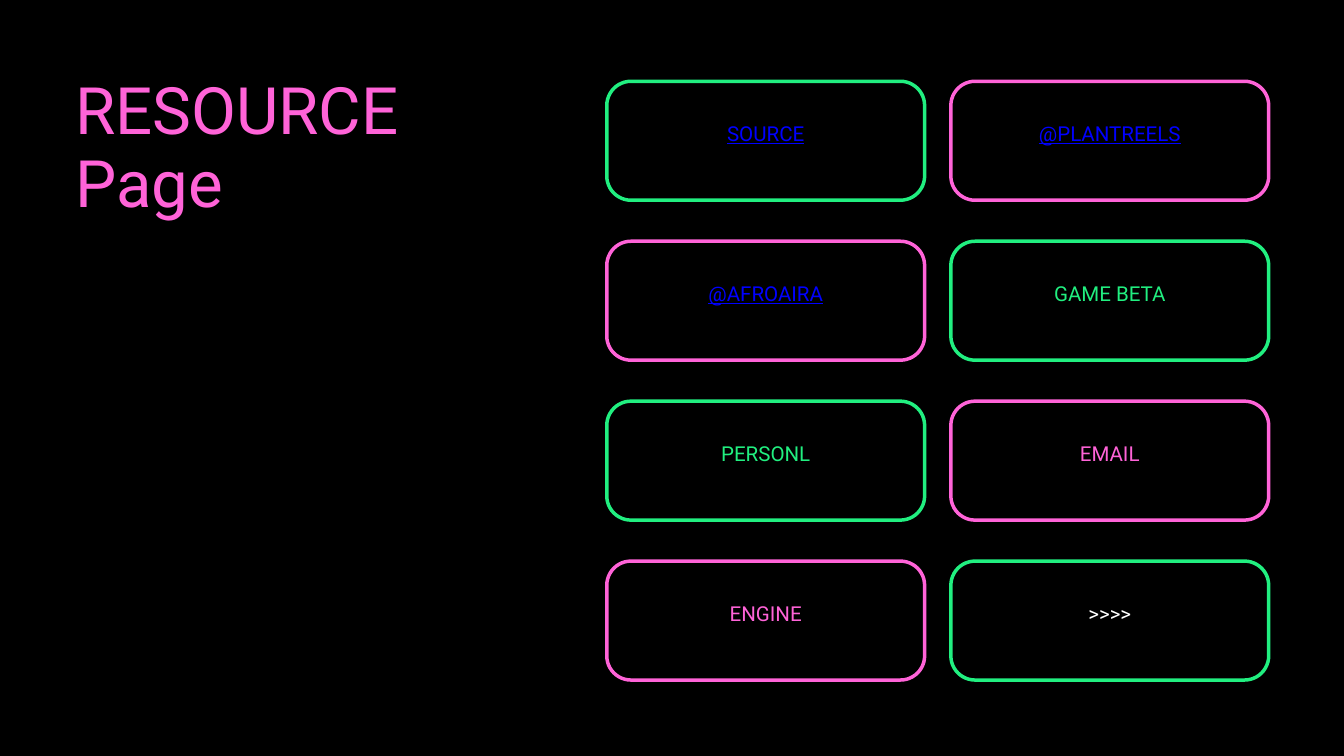
"""Build the resource page: a title beside a two-column grid of outlined buttons."""
from pptx import Presentation
from pptx.dml.color import RGBColor
from pptx.enum.shapes import MSO_SHAPE
from pptx.enum.text import MSO_ANCHOR, MSO_AUTO_SIZE, PP_ALIGN
from pptx.util import Inches, Pt

ROUNDED = MSO_SHAPE.ROUNDED_RECTANGLE
TOP, MIDDLE = MSO_ANCHOR.TOP, MSO_ANCHOR.MIDDLE
LEFT, CENTER = PP_ALIGN.LEFT, PP_ALIGN.CENTER
NO_FIT = MSO_AUTO_SIZE.NONE

BLACK = RGBColor(0x00, 0x00, 0x00)
WHITE = RGBColor(0xFF, 0xFF, 0xFF)
GREEN = RGBColor(0x21, 0xEF, 0x80)
PINK = RGBColor(0xFF, 0x63, 0xD8)
BLUE = RGBColor(0x00, 0x00, 0xFF)

TITLE = ["RESOURCE", "Page"]
BUTTONS = [
    [("SOURCE", BLUE, True), ("@PLANTREELS", BLUE, True)],
    [("@AFROAIRA", BLUE, True), ("GAME BETA", GREEN, False)],
    [("PERSONL", GREEN, False), ("EMAIL", PINK, False)],
    [("ENGINE", PINK, False), (">>>>", WHITE, False)],
]
OUTLINES = [GREEN, PINK]

GRID_LEFT, GRID_TOP = 9.03, 1.21
COL_STEP, ROW_STEP = 5.12, 2.38
BUTTON_W, BUTTON_H, RADIUS = 4.73, 1.77, 0.36
LINE_RATIO = {70: 1.12, 22: 1.4}


def format_frame(tf, anchor, margins):
    frame = {"word_wrap": True, "auto_size": NO_FIT, "vertical_anchor": anchor}
    sides = ("margin_left", "margin_top", "margin_right", "margin_bottom")
    frame.update(zip(sides, map(Inches, margins)))
    for name, value in frame.items():
        setattr(tf, name, value)


def write(p, text, size, color, align, underline=False):
    p.alignment = align
    p.line_spacing = Pt(size * LINE_RATIO[size])
    r = p.add_run()
    r.text = text
    font = {"name": "Roboto", "size": Pt(size), "underline": underline}
    for name, value in font.items():
        setattr(r.font, name, value)
    r.font.color.rgb = color


def add_title(s):
    title = s.shapes.title
    box = {"left": 1.12, "top": 1.1, "width": 6.64, "height": 2.27}
    for name, value in box.items():
        setattr(title, name, Inches(value))
    tf = title.text_frame
    format_frame(tf, TOP, (0, 0, 0, 0))
    for i, line in enumerate(TITLE):
        p = tf.add_paragraph() if i else tf.paragraphs[0]
        p.space_before = Pt(0)
        write(p, line, 70, PINK, LEFT)


def add_button(s, row, col, label, color, underline):
    sp = s.shapes.add_shape(
        ROUNDED,
        Inches(GRID_LEFT + col * COL_STEP),
        Inches(GRID_TOP + row * ROW_STEP),
        Inches(BUTTON_W),
        Inches(BUTTON_H),
    )
    sp.adjustments[0] = RADIUS / BUTTON_H
    sp.shadow.inherit = False
    sp.fill.solid()
    sp.fill.fore_color.rgb = BLACK
    sp.line.color.rgb = OUTLINES[(row + col) % 2]
    sp.line.width = Pt(3.75)
    format_frame(sp.text_frame, MIDDLE, (0.28, 0, 0.28, 0.28))
    write(sp.text_frame.paragraphs[0], label, 22, color, CENTER, underline)


def main():
    prs = Presentation()
    prs.slide_width, prs.slide_height = Inches(20), Inches(11.25)
    s = prs.slides.add_slide(prs.slide_layouts[5])
    s.background.fill.solid()
    s.background.fill.fore_color.rgb = BLACK
    add_title(s)
    for row, buttons in enumerate(BUTTONS):
        for col, button in enumerate(buttons):
            add_button(s, row, col, *button)
    prs.save("out.pptx")


if __name__ == "__main__":
    main()
